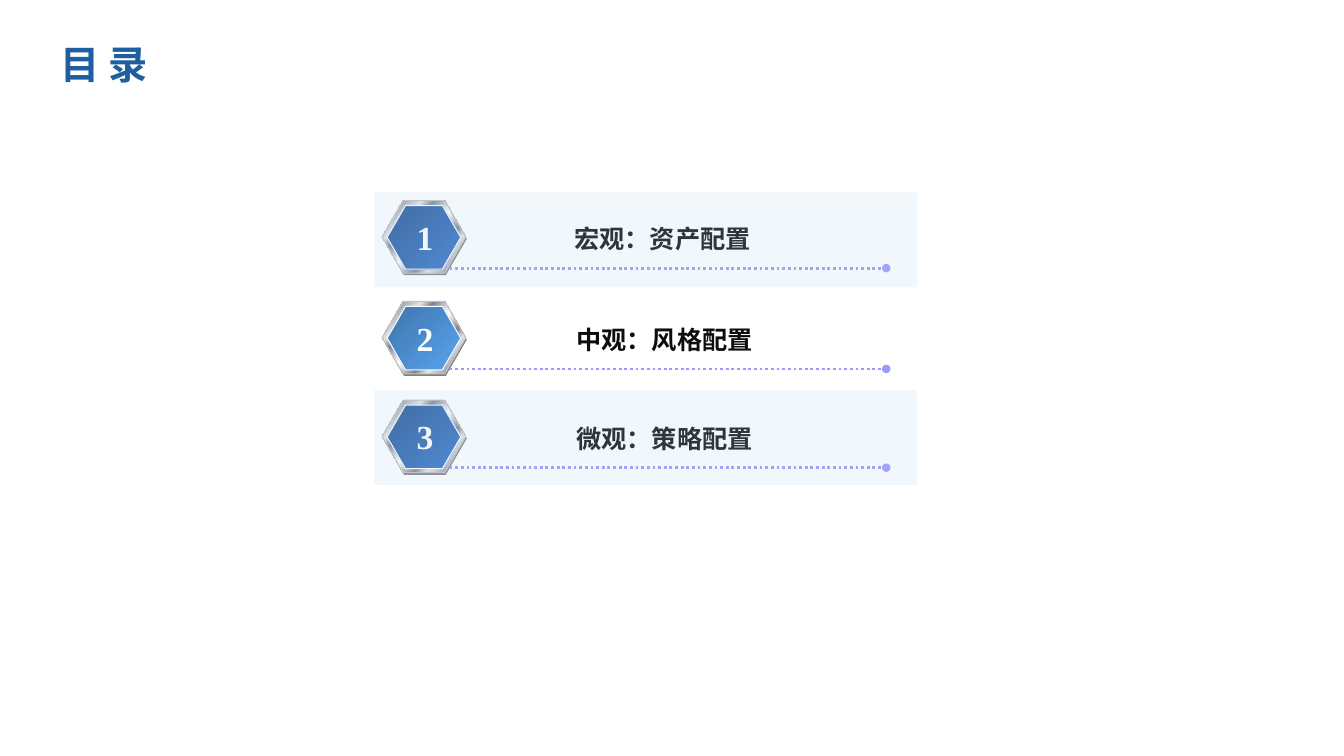
import pptx
import pptx.dml.color
import pptx.enum.dml
import pptx.enum.shapes
import pptx.enum.text
import pptx.oxml.ns
import pptx.util
import lxml.etree
from dataclasses import dataclass

Inches = pptx.util.Inches
Pt = pptx.util.Pt
Shapes = pptx.enum.shapes.MSO_SHAPE
qn = pptx.oxml.ns.qn


@dataclass(frozen=True)
class Theme:
    font: str = "Times New Roman"
    background: str = "FFFFFF"
    title: str = "1F5FA0"
    label: str = "0D0D0D"
    number: str = "FFFFFF"
    badge_shadow: str = "808080"
    ring_edge: str = "C0C0C0"
    badge_edge: str = "FFFFFF"
    dots: str = "9999FF"
    panel: str = "BDD7EE"
    panel_opacity: int = 20
    title_size: int = 28
    number_size: int = 24
    label_size: int = 18
    navy: tuple = ((0, "255492"), (100, "3475CC"))
    sky: tuple = ((0, "3F75AC"), (100, "58A4F0"))
    metal: tuple = ((0, "E6E6E6"), (8, "7D8496"), (26, "E6E6E6"), (34, "7D8496"),
                    (46, "E6E6E6"), (50, "FFFFFF"), (54, "E6E6E6"), (66, "7D8496"),
                    (74, "E6E6E6"), (92, "7D8496"), (100, "E6E6E6"))


def rgb(value):
    return pptx.dml.color.RGBColor.from_string(value)


class SlideBuilder:
    def __init__(self, slide, theme):
        self.slide = slide
        self.theme = theme
        slide.background.fill.solid()
        slide.background.fill.fore_color.rgb = rgb(theme.background)

    def shape(self, kind, left, top, width, height, color=None, stops=None,
              edge=None, opacity=None):
        shape = self.slide.shapes.add_shape(
            kind, Inches(left), Inches(top), Inches(width), Inches(height))
        shape.shadow.inherit = False
        if stops:
            self.gradient(shape, stops)
        else:
            shape.fill.solid()
            shape.fill.fore_color.rgb = rgb(color)
        if opacity is not None:
            color_element = next(shape.element.spPr.iter(qn("a:srgbClr")))
            alpha = lxml.etree.SubElement(color_element, qn("a:alpha"))
            alpha.set("val", str(opacity * 1000))
        if edge:
            shape.line.color.rgb = rgb(edge)
            shape.line.width = Pt(0.75)
        else:
            shape.line.fill.background()
        return shape

    def gradient(self, shape, stops):
        shape.fill.gradient()
        shape.fill.gradient_angle = 315
        stop_list = next(shape.element.spPr.iter(qn("a:gsLst")))
        for stop in list(stop_list):
            stop_list.remove(stop)
        for position, color in stops:
            stop = lxml.etree.SubElement(stop_list, qn("a:gs"), pos=str(position * 1000))
            lxml.etree.SubElement(stop, qn("a:srgbClr"), val=color)

    def hexagon(self, left, top, width, height, **style):
        shape = self.shape(Shapes.HEXAGON, left, top, width, height, **style)
        shape.adjustments[0] = 0.289

    def badge(self, top, stops):
        self.hexagon(3.8, top + 0.02, 0.83, 0.72, color=self.theme.badge_shadow)
        self.hexagon(3.79, top, 0.83, 0.72, stops=self.theme.metal, edge=self.theme.ring_edge)
        self.hexagon(3.84, top + 0.05, 0.73, 0.63, stops=stops, edge=self.theme.badge_edge)

    def dotted_line(self, left, right, top):
        connector = self.slide.shapes.add_connector(
            pptx.enum.shapes.MSO_CONNECTOR.STRAIGHT,
            Inches(left), Inches(top), Inches(right), Inches(top))
        connector.line.color.rgb = rgb(self.theme.dots)
        connector.line.width = Pt(2)
        connector.line.dash_style = pptx.enum.dml.MSO_LINE.ROUND_DOT
        properties = connector.element.spPr
        lxml.etree.SubElement(properties.find(qn("a:ln")), qn("a:tailEnd"), type="oval")
        lxml.etree.SubElement(properties, qn("a:effectLst"))

    def text(self, content, left, top, width, height, size, color):
        box = self.slide.shapes.add_textbox(
            Inches(left), Inches(top), Inches(width), Inches(height))
        frame = box.text_frame
        frame.text = content
        font = frame.paragraphs[0].runs[0].font
        font.name = self.theme.font
        font.size = Pt(size)
        font.bold = True
        font.color.rgb = rgb(color)
        return frame

    def centered_text(self, *arguments):
        frame = self.text(*arguments)
        frame.word_wrap = False
        frame.auto_size = pptx.enum.text.MSO_AUTO_SIZE.SHAPE_TO_FIT_TEXT
        frame.paragraphs[0].alignment = pptx.enum.text.PP_ALIGN.CENTER

    def title(self, content):
        frame = self.text(content, 0.5, 0.19, 12.35, 0.94,
                          self.theme.title_size, self.theme.title)
        frame.word_wrap = True
        frame.vertical_anchor = pptx.enum.text.MSO_ANCHOR.MIDDLE
        frame.paragraphs[0].line_spacing = 0.9

    def agenda_row(self, number, label, label_left, top, stops):
        self.badge(top, stops)
        self.dotted_line(4.46, 8.79, top + 0.67)
        self.centered_text(label, label_left, top + 0.18, 1.98, 0.4,
                           self.theme.label_size, self.theme.label)
        self.centered_text(str(number), 4.03, top + 0.11, 0.37, 0.51,
                           self.theme.number_size, self.theme.number)

    def panel(self, top):
        self.shape(Shapes.RECTANGLE, 3.71, top, 5.39, 0.94,
                   color=self.theme.panel, opacity=self.theme.panel_opacity)


def main():
    presentation = pptx.Presentation()
    presentation.slide_width = Inches(13.33)
    presentation.slide_height = Inches(7.5)
    theme = Theme()
    builder = SlideBuilder(
        presentation.slides.add_slide(presentation.slide_layouts[6]), theme)

    # Heading
    builder.title("目 录")

    # Agenda rows
    rows = [("宏观：资产配置", 5.58, 1.99, theme.navy),
            ("中观：风格配置", 5.6, 2.99, theme.sky),
            ("微观：策略配置", 5.6, 3.97, theme.navy)]
    for number, row in enumerate(rows, start=1):
        builder.agenda_row(number, *row)

    # Translucent panels veil the first and last rows
    for top in (3.87, 1.91):
        builder.panel(top)

    presentation.save("out.pptx")


if __name__ == "__main__":
    main()
